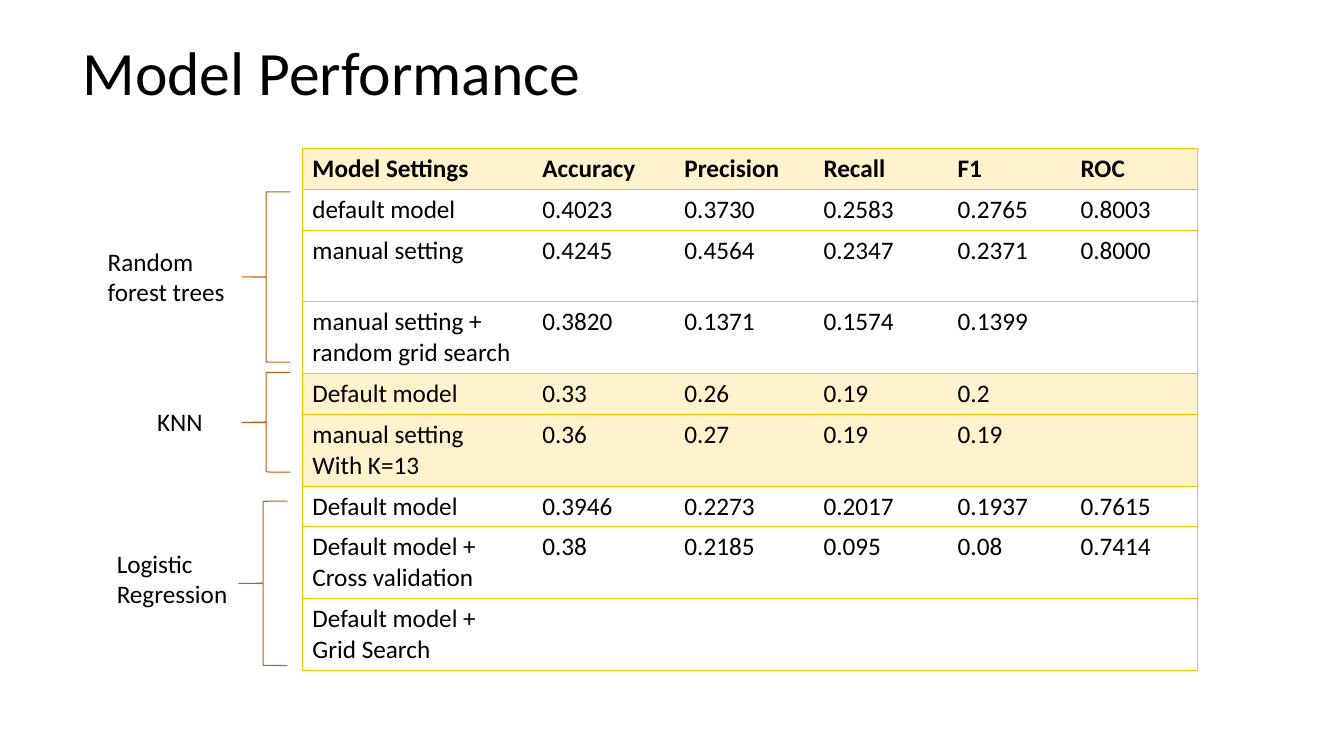
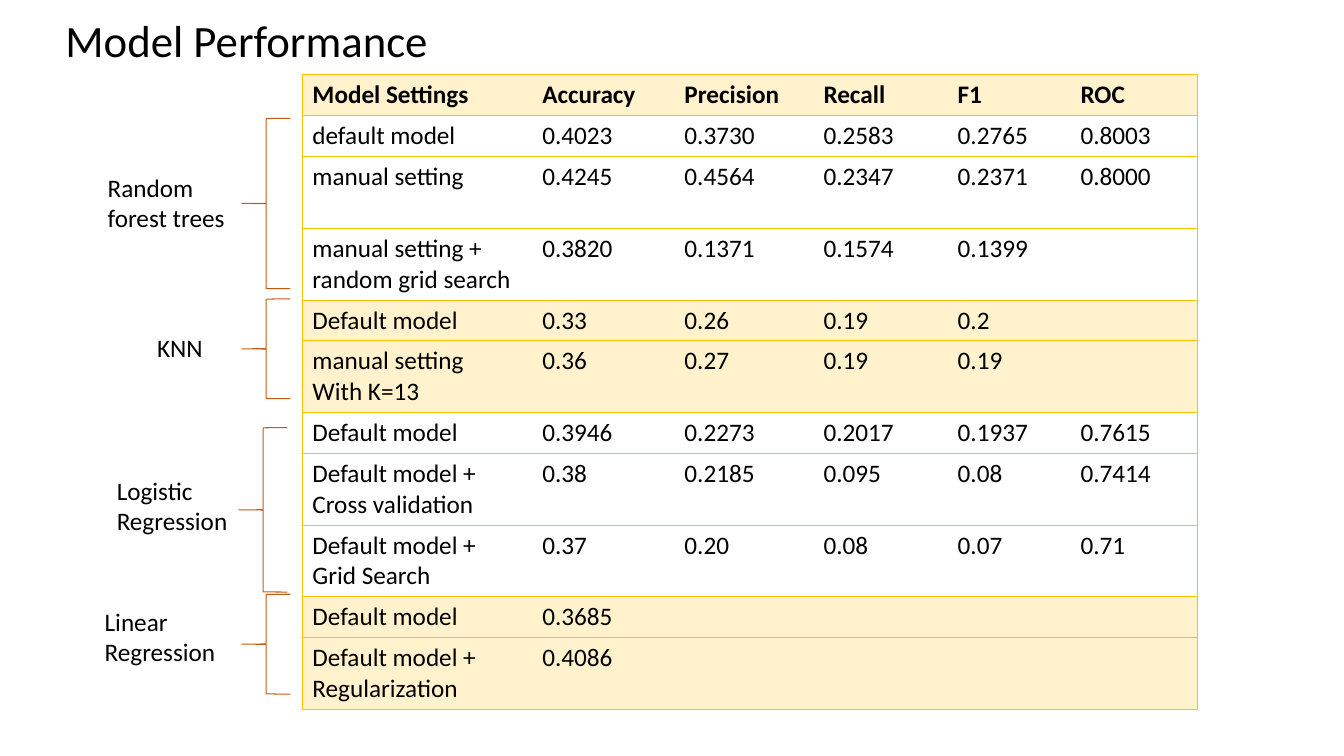
from dataclasses import dataclass, replace

from lxml import etree
from pptx import Presentation
from pptx.dml.color import RGBColor
from pptx.enum.shapes import MSO_SHAPE
from pptx.enum.text import MSO_ANCHOR, MSO_AUTO_SIZE
from pptx.oxml.ns import qn
from pptx.slide import Slide
from pptx.table import _Cell
from pptx.text.text import TextFrame
from pptx.util import Pt

LEFT_BRACE = MSO_SHAPE.LEFT_BRACE
MIDDLE = MSO_ANCHOR.MIDDLE
FIT_SHAPE = MSO_AUTO_SIZE.SHAPE_TO_FIT_TEXT
NO_FIT = MSO_AUTO_SIZE.NONE

BLACK = RGBColor(0x00, 0x00, 0x00)
GOLD = RGBColor(0xFF, 0xC0, 0x00)
CREAM = RGBColor(0xFF, 0xF2, 0xCC)
RUST = RGBColor(0xC5, 0x5A, 0x11)

FONT = "Calibri"
BODY_SIZE = 18
LINE_WIDTH = 0.75
SINGLE_ROW, DOUBLE_ROW = 29.2, 51.2
TABLE_LEFT = 216
COLUMN_WIDTHS = (164.2, 101.5, 99.4, 95.8, 87.8, 90.4)
BRACE_WIDTH = 34.6
LABEL_WIDTH = 120
HEADINGS = ("Model Settings", "Accuracy", "Precision", "Recall", "F1", "ROC")


@dataclass(frozen=True)
class Setting:
    name: str
    scores: tuple[str, ...] = ()
    height: float = DOUBLE_ROW


@dataclass(frozen=True)
class ModelGroup:
    label: str
    label_left: float
    label_top: float
    brace_left: float
    brace_top: float
    brace_height: float
    brace_curve: float
    shaded: bool
    settings: tuple[Setting, ...]


@dataclass(frozen=True)
class Title:
    left: float
    top: float
    width: float
    height: float
    size: float


FOREST = ModelGroup("Random forest trees", 69.8, 66.2, 172.8, 31, 121.7, 0.005, False, (
    Setting("default model", ("0.4023", "0.3730", "0.2583", "0.2765", "0.8003"), SINGLE_ROW),
    Setting("manual setting", ("0.4245", "0.4564", "0.2347", "0.2371", "0.8000")),
    Setting("manual setting + random grid search", ("0.3820", "0.1371", "0.1574", "0.1399")),
))
NEIGHBOURS = ModelGroup("KNN", 105.1, 180.7, 172.8, 160, 71.3, 0.009, True, (
    Setting("Default model", ("0.33", "0.26", "0.19", "0.2"), SINGLE_ROW),
    Setting("manual setting\nWith K=13", ("0.36", "0.27", "0.19", "0.19")),
))
LOGISTIC = ModelGroup("Logistic\nRegression", 76.3, 282.2, 170.6, 252, 117.4, 0.005, False, (
    Setting("Default model", ("0.3946", "0.2273", "0.2017", "0.1937", "0.7615"), SINGLE_ROW),
    Setting("Default model +\nCross validation", ("0.38", "0.2185", "0.095", "0.08", "0.7414")),
    Setting("Default model +\nGrid Search"),
))
GRID_SEARCH_SCORED = replace(
    LOGISTIC.settings[-1], scores=("0.37", "0.20", "0.08", "0.07", "0.71"))
LOGISTIC_SCORED = replace(
    LOGISTIC, settings=LOGISTIC.settings[:-1] + (GRID_SEARCH_SCORED,))
LINEAR = ModelGroup("Linear\nRegression", 67.7, 375.8, 172.8, 371, 71.3, 0.009, True, (
    Setting("Default model", ("0.3685",), SINGLE_ROW),
    Setting("Default model +\nRegularization", ("0.4086",)),
))


def write_text(frame: TextFrame, text: str, size: float = BODY_SIZE,
               bold: bool = False, spacing: float = 1.0) -> None:
    for index, line in enumerate(text.split("\n")):
        paragraph = frame.add_paragraph() if index else frame.paragraphs[0]
        paragraph.line_spacing = spacing
        run = paragraph.add_run()
        run.text = line
        run.font.name = FONT
        run.font.size = Pt(size)
        run.font.bold = bold
        run.font.color.rgb = BLACK


def add_title(slide: Slide, title: Title) -> None:
    box = slide.shapes.add_textbox(
        Pt(title.left), Pt(title.top), Pt(title.width), Pt(title.height))
    frame = box.text_frame
    frame.word_wrap = True
    frame.auto_size = NO_FIT
    frame.vertical_anchor = MIDDLE
    write_text(frame, "Model Performance", title.size, spacing=0.9)


def set_borders(cell: _Cell, sides: str) -> None:
    properties = cell._tc.get_or_add_tcPr()
    for side in "LRTB":
        line = etree.SubElement(properties, qn(f"a:ln{side}"), w=str(Pt(LINE_WIDTH)))
        if side in sides:
            fill = etree.SubElement(line, qn("a:solidFill"))
            etree.SubElement(fill, qn("a:srgbClr"), val=str(GOLD))
        else:
            etree.SubElement(line, qn("a:noFill"))


def add_table(slide: Slide, top: float, groups: tuple[ModelGroup, ...]) -> None:
    rows = [(Setting(HEADINGS[0], HEADINGS[1:], SINGLE_ROW), True)]
    rows += [(setting, group.shaded) for group in groups for setting in group.settings]
    table = slide.shapes.add_table(
        len(rows), len(HEADINGS), Pt(TABLE_LEFT), Pt(top), Pt(sum(COLUMN_WIDTHS)),
        Pt(sum(setting.height for setting, _ in rows))).table
    table.first_row = False
    table.horz_banding = False
    for column, width in zip(table.columns, COLUMN_WIDTHS):
        column.width = Pt(width)
    last_column = len(HEADINGS) - 1
    for row_index, (setting, shaded) in enumerate(rows):
        table.rows[row_index].height = Pt(setting.height)
        texts = (setting.name, *setting.scores)
        for column_index in range(len(HEADINGS)):
            cell = table.cell(row_index, column_index)
            set_borders(cell, "TB" + {0: "L", last_column: "R"}.get(column_index, ""))
            if shaded:
                cell.fill.solid()
                cell.fill.fore_color.rgb = CREAM
            else:
                cell.fill.background()
            if column_index < len(texts):
                write_text(cell.text_frame, texts[column_index], bold=row_index == 0)


def add_group_label(slide: Slide, table_top: float, group: ModelGroup) -> None:
    brace = slide.shapes.add_shape(
        LEFT_BRACE, Pt(group.brace_left), Pt(table_top + group.brace_top),
        Pt(BRACE_WIDTH), Pt(group.brace_height))
    brace.adjustments[0] = group.brace_curve
    brace.adjustments[1] = 0.5
    brace.shadow.inherit = False
    brace.fill.background()
    brace.line.color.rgb = RUST
    brace.line.width = Pt(LINE_WIDTH)
    height = SINGLE_ROW if group.label == "KNN" else DOUBLE_ROW
    box = slide.shapes.add_textbox(
        Pt(group.label_left), Pt(table_top + group.label_top), Pt(LABEL_WIDTH), Pt(height))
    box.text_frame.word_wrap = True
    box.text_frame.auto_size = FIT_SHAPE
    write_text(box.text_frame, group.label)


def add_performance_slide(presentation: Presentation, title: Title, table_top: float,
                          groups: tuple[ModelGroup, ...]) -> None:
    slide = presentation.slides.add_slide(presentation.slide_layouts[6])
    add_title(slide, title)
    add_table(slide, table_top, groups)
    for group in groups:
        add_group_label(slide, table_top, group)


def main() -> None:
    presentation = Presentation()
    presentation.slide_width = Pt(960)
    presentation.slide_height = Pt(540)
    add_performance_slide(presentation, Title(51.8, 1.4, 828, 105.8, 44), 106,
                          (FOREST, NEIGHBOURS, LOGISTIC))
    add_performance_slide(presentation, Title(39.6, 10.8, 416.9, 40.3, 32), 53.5,
                          (FOREST, NEIGHBOURS, LOGISTIC_SCORED, LINEAR))
    presentation.save("out.pptx")


if __name__ == "__main__":
    main()
